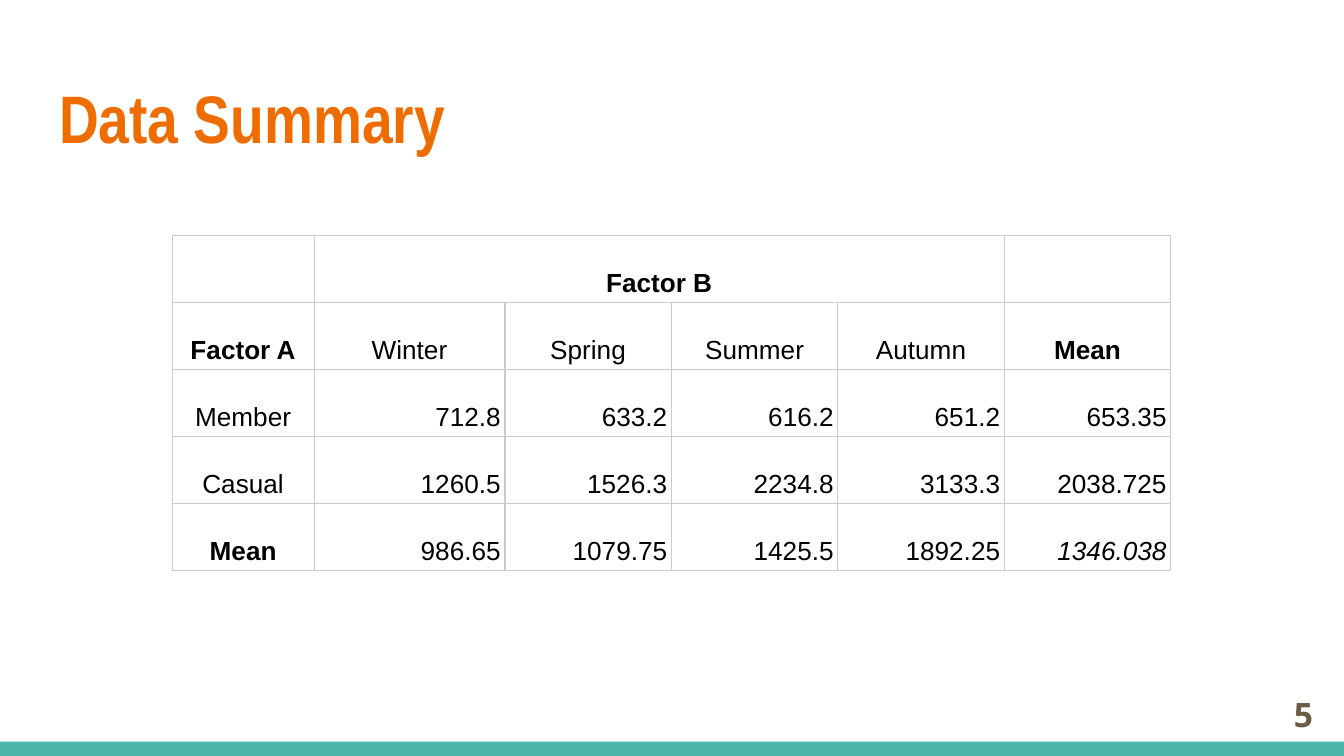
import pptx
import pptx.dml.color
import pptx.enum.shapes
import pptx.enum.text
import pptx.oxml
import pptx.oxml.ns
import pptx.util

Pt = pptx.util.Pt
ALIGN = pptx.enum.text.PP_ALIGN
ANCHOR = pptx.enum.text.MSO_ANCHOR

ROWS = [
    ["", "Factor B", "", "", "", ""],
    ["Factor A", "Winter", "Spring", "Summer", "Autumn", "Mean"],
    ["Member", "712.8", "633.2", "616.2", "651.2", "653.35"],
    ["Casual", "1260.5", "1526.3", "2234.8", "3133.3", "2038.725"],
    ["Mean", "986.65", "1079.75", "1425.5", "1892.25", "1346.038"],
]
BOLD = {"Factor A", "Factor B", "Mean"}
GRAND_MEAN = ROWS[-1][-1]
COLUMN_WIDTHS = [76.1, 102.2] + [89.2] * 4
ROW_HEIGHT = 35.4


def rgb(color):
    return pptx.dml.color.RGBColor.from_string(color)


class Deck:
    TITLE = "EF6C00"
    BAR = "4DB6AC"
    NUMBER = "695D46"
    TEXT = "000000"
    GRID = "CCCCCC"
    INSET = 7.2
    CELL_INSET = 2.2

    def __init__(self, width, height):
        self.prs = pptx.Presentation()
        self.prs.slide_width, self.prs.slide_height = Pt(width), Pt(height)
        self.s = self.prs.slides.add_slide(self.prs.slide_layouts[5])

    def font(self, p, name, size, color, bold=False, italic=False):
        p.font.name, p.font.size = name, Pt(size)
        p.font.bold, p.font.italic = bold, italic
        p.font.color.rgb = rgb(color)

    def frame(self, sp, text, align):
        """Put one line of text in a shape and return its paragraph."""
        tf = sp.text_frame
        tf.text = text
        tf.word_wrap = True
        tf.auto_size = pptx.enum.text.MSO_AUTO_SIZE.NONE
        tf.vertical_anchor = ANCHOR.MIDDLE
        tf.margin_left = tf.margin_right = Pt(self.INSET)
        tf.margin_top = tf.margin_bottom = Pt(self.INSET)
        p = tf.paragraphs[0]
        p.alignment = align
        return p

    def bar(self, x, y, w, h):
        sp = self.s.shapes.add_shape(
            pptx.enum.shapes.MSO_SHAPE.RECTANGLE, Pt(x), Pt(y), Pt(w), Pt(h))
        sp.shadow.inherit = False
        sp.fill.solid()
        sp.fill.fore_color.rgb = rgb(self.BAR)
        sp.line.fill.background()

    def title(self, text, x, y, w, h):
        sp = self.s.shapes.title
        sp.left, sp.top, sp.width, sp.height = Pt(x), Pt(y), Pt(w), Pt(h)
        p = self.frame(sp, text, ALIGN.LEFT)
        self.font(p, "Arial Narrow", 36, self.TITLE, bold=True)

    def number(self, text, x, y, w, h):
        sp = self.s.shapes.add_textbox(Pt(x), Pt(y), Pt(w), Pt(h))
        p = self.frame(sp, text, ALIGN.RIGHT)
        self.font(p, "Open Sans", 18, self.NUMBER, bold=True)

    def borders(self, cell):
        tcPr = cell._tc.get_or_add_tcPr()
        for side in ("lnL", "lnR", "lnT", "lnB"):
            tcPr.append(pptx.oxml.parse_xml(
                f'<a:{side} {pptx.oxml.ns.nsdecls("a")} w="{Pt(0.75)}"><a:solidFill>'
                f'<a:srgbClr val="{self.GRID}"/></a:solidFill></a:{side}>'))

    def cell(self, cell, text, align):
        self.borders(cell)
        cell.fill.background()
        cell.vertical_anchor = ANCHOR.BOTTOM
        cell.margin_left = cell.margin_right = Pt(self.CELL_INSET)
        cell.margin_top = cell.margin_bottom = Pt(self.CELL_INSET)
        if text:
            cell.text = text
            p = cell.text_frame.paragraphs[0]
            p.alignment, p.line_spacing = align, 2.0
            self.font(p, "Arial", 14, self.TEXT, text in BOLD, text == GRAND_MEAN)

    def table(self, rows, x, y, widths, row_height):
        t = self.s.shapes.add_table(
            len(rows), len(widths), Pt(x), Pt(y),
            Pt(sum(widths)), Pt(row_height * len(rows))).table
        t.first_row = t.horz_banding = False
        for column, width in zip(t.columns, widths):
            column.width = Pt(width)
        for i, row in enumerate(rows):
            t.rows[i].height = Pt(row_height)
            for j, text in enumerate(row):
                heading = i < 2 or j == 0
                self.cell(t.cell(i, j), text, ALIGN.CENTER if heading else ALIGN.RIGHT)
        t.cell(0, 1).merge(t.cell(0, 4))


def main():
    deck = Deck(720, 405)
    deck.bar(0, 397.4, 720, 7.6)
    deck.title("Data Summary", 24.5, 34.6, 671, 55.4)
    deck.table(ROWS, 92.2, 126.2, COLUMN_WIDTHS, ROW_HEIGHT)
    deck.number("5", 667.4, 367.2, 43.2, 31)
    deck.prs.save("out.pptx")


if __name__ == "__main__":
    main()
